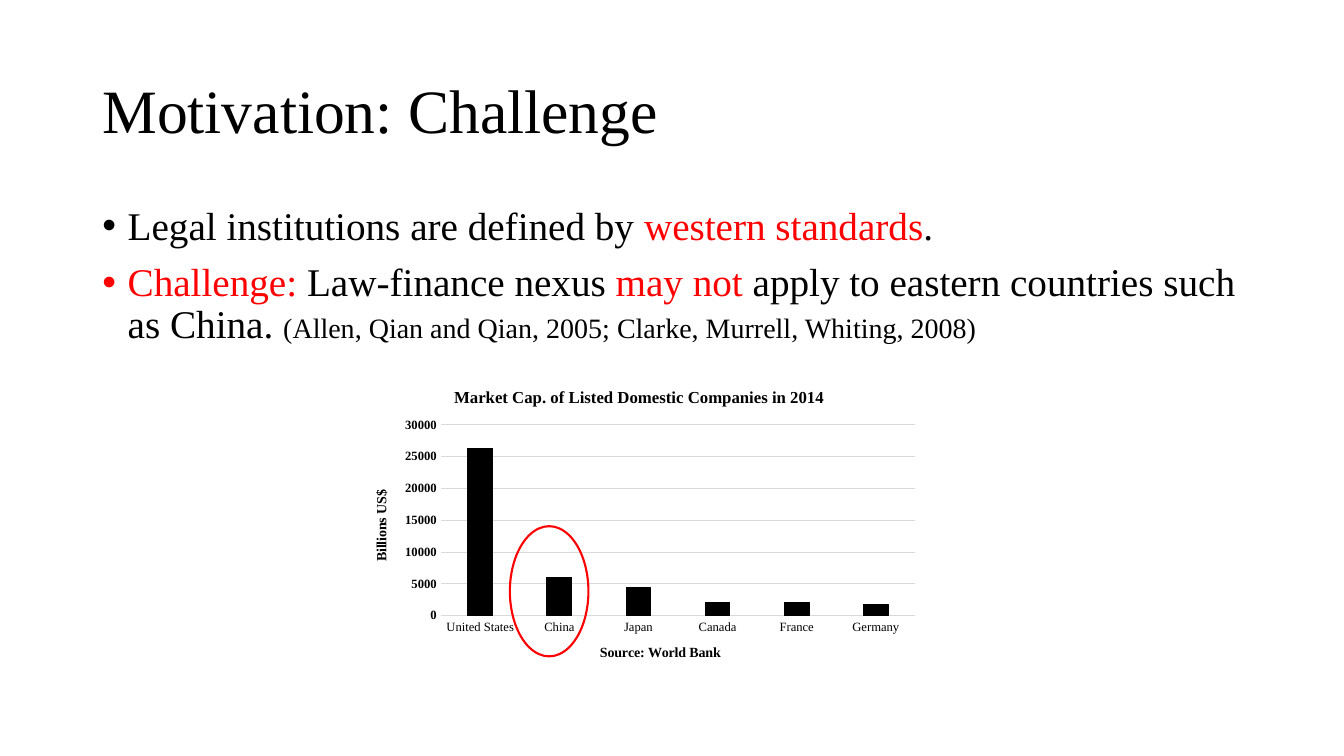
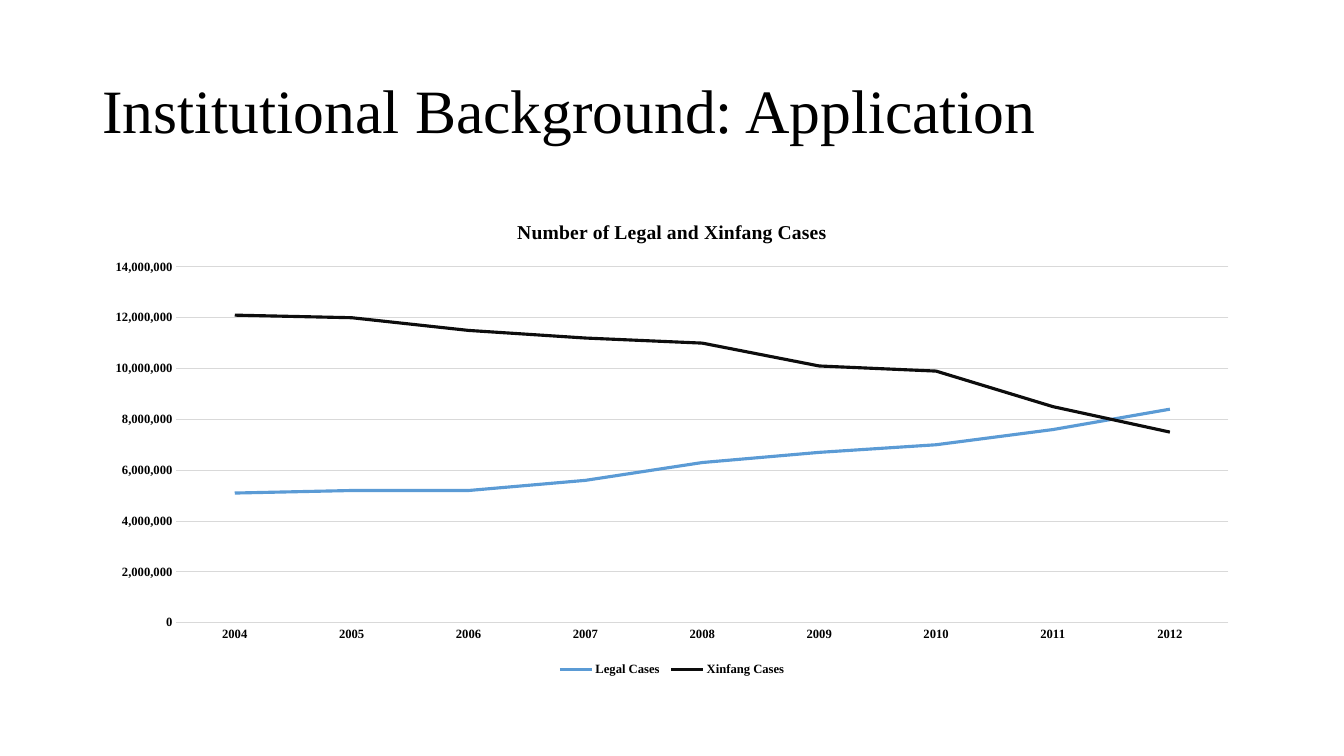
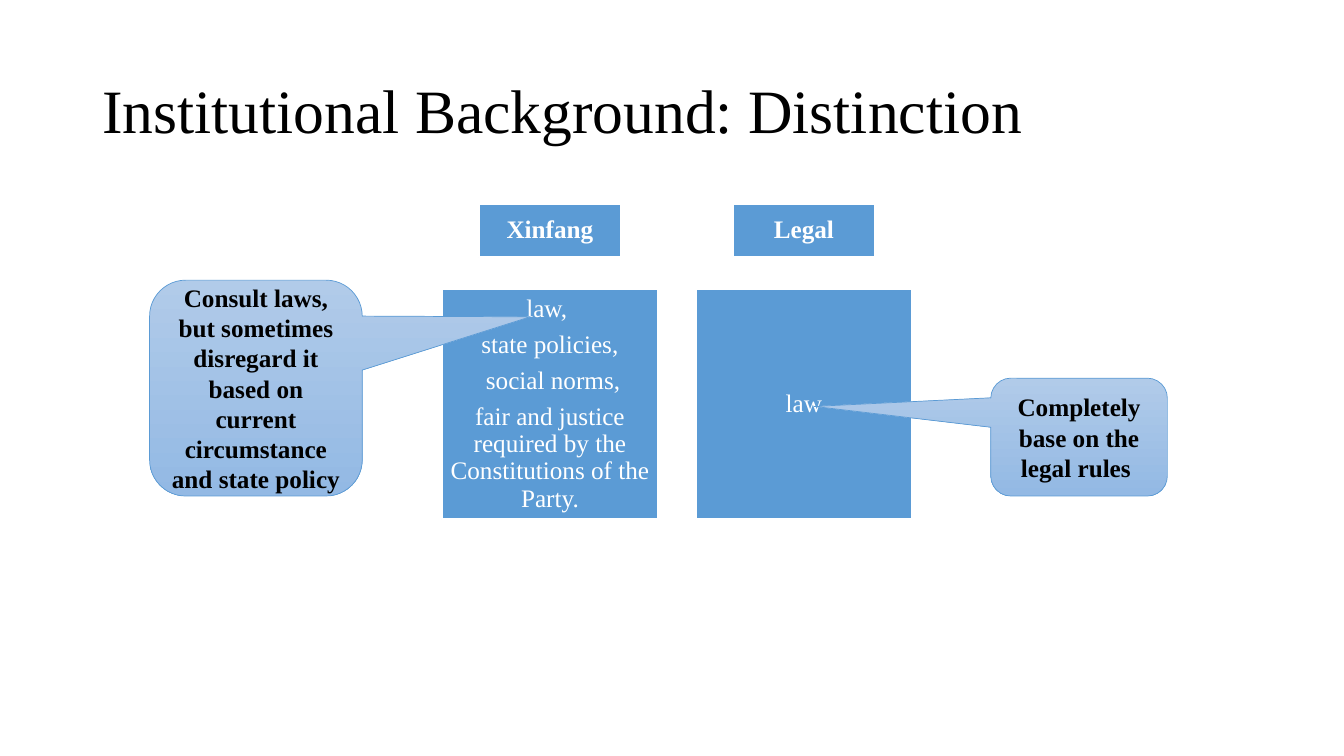
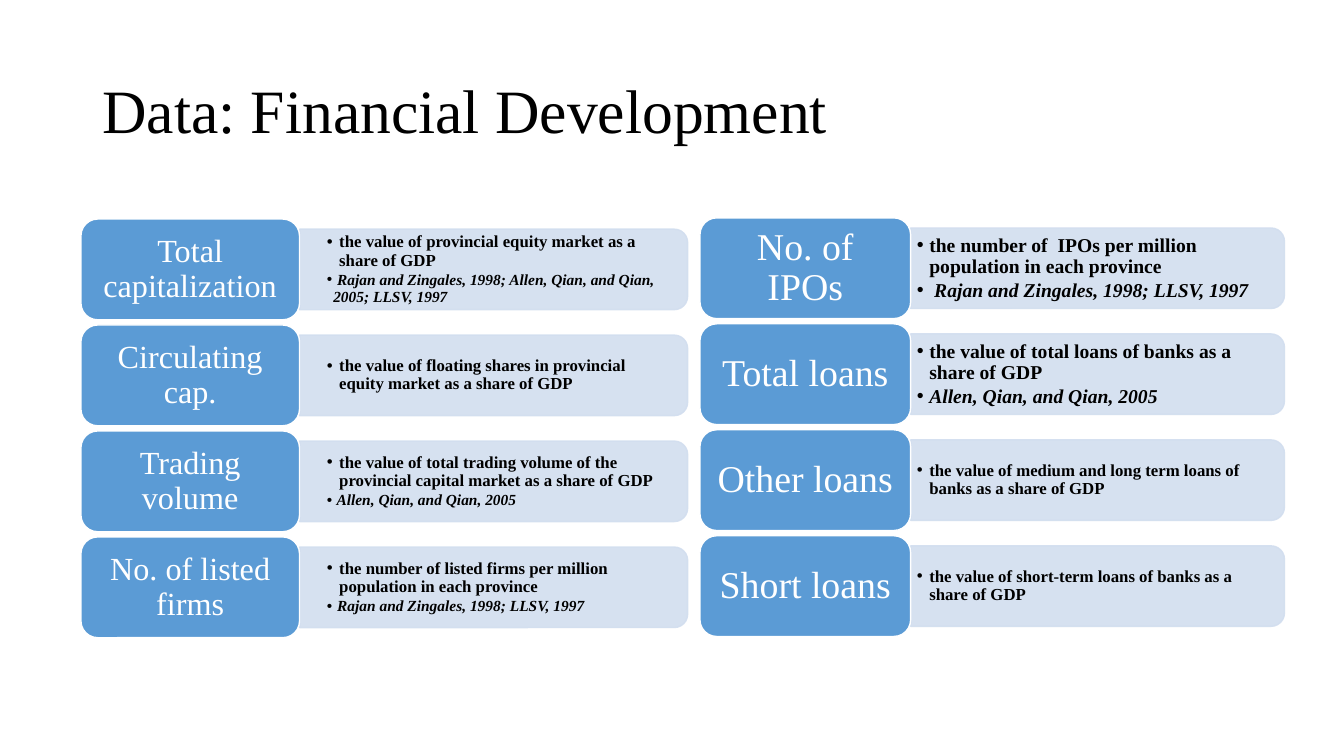
from lxml import etree
from pptx import Presentation
from pptx.chart.data import CategoryChartData
from pptx.dml.color import RGBColor
from pptx.enum.chart import XL_CHART_TYPE, XL_LEGEND_POSITION, XL_TICK_MARK
from pptx.enum.shapes import MSO_SHAPE
from pptx.enum.text import MSO_ANCHOR, PP_ALIGN
from pptx.oxml.ns import qn
from pptx.util import Cm, Pt

COLUMN, LINE = XL_CHART_TYPE.COLUMN_CLUSTERED, XL_CHART_TYPE.LINE
BOTTOM, NO_TICK = XL_LEGEND_POSITION.BOTTOM, XL_TICK_MARK.NONE
RECT, ROUND, OVAL = MSO_SHAPE.RECTANGLE, MSO_SHAPE.ROUNDED_RECTANGLE, MSO_SHAPE.OVAL
TAB, CALLOUT = MSO_SHAPE.ROUND_2_SAME_RECTANGLE, MSO_SHAPE.ROUNDED_RECTANGULAR_CALLOUT
MIDDLE, TOP, CENTER = MSO_ANCHOR.MIDDLE, MSO_ANCHOR.TOP, PP_ALIGN.CENTER

COLORS = {
    "black": "000000", "ink": "0D0D0D", "white": "FFFFFF", "red": "FF0000",
    "blue": "5B9BD5", "pale": "D2DEEF", "grid": "D9D9D9",
    "light": "B1CBE9", "deep": "93B9E4",
}
FACE = "Times New Roman"
HEAD = (2.33, 1.02, 29.21, 3.68)
BODY = (2.33, 5.07, 29.21, 12.09)
TIGHT = {"line_spacing": 0.9}
RED = {"color": "red"}


def tint(name):
    return RGBColor.from_string(COLORS[name])


def apply(item, form):
    for key, val in form.items():
        if key == "color":
            item.color.rgb = tint(val)
        else:
            setattr(item, key, val)


def face(size, color="black", **more):
    return {"name": FACE, "size": Pt(size), "color": color, **more}


def write(frame, paras, font, form=None, dents=()):
    for num, runs in enumerate(paras):
        para = frame.add_paragraph() if num else frame.paragraphs[0]
        if dents:
            props = para._p.get_or_add_pPr()
            props.set("marL", str(Cm(dents[num])))
            props.set("indent", str(-Cm(dents[num])))
            etree.SubElement(props, qn("a:buFont")).set("typeface", "Arial")
            etree.SubElement(props, qn("a:buChar")).set("char", "•")
        apply(para, form or {})
        if num == 0 and form and "space_before" in form:
            para.space_before = Pt(0)
        for text, extra in [(runs, {})] if isinstance(runs, str) else runs:
            run = para.add_run()
            run.text = text
            apply(run.font, {**font, **extra})


def frame_up(frame, anchor=MIDDLE, side=0.25, edge=0.13):
    apply(frame, {
        "word_wrap": True, "vertical_anchor": anchor,
        "margin_left": Cm(side), "margin_right": Cm(side),
        "margin_top": Cm(edge), "margin_bottom": Cm(edge),
    })
    return frame


def add_text(slide, box, **pads):
    return frame_up(slide.shapes.add_textbox(*map(Cm, box)).text_frame, **pads)


def add_form(slide, kind, box, fill, line, width):
    form = slide.shapes.add_shape(kind, *map(Cm, box))
    form.shadow.inherit = False
    if fill:
        form.fill.solid()
        form.fill.fore_color.rgb = tint(fill)
    else:
        form.fill.background()
    apply(form.line, {"color": line, "width": Pt(width)})
    return form


def add_page(deck, title):
    slide = deck.slides.add_slide(deck.slide_layouts[6])
    write(add_text(slide, HEAD), [title], face(44), TIGHT)
    return slide


def add_plot(slide, box, kind, cats, series, title, size, style, top, step):
    data = CategoryChartData()
    data.categories = cats
    for name, vals, _ in series:
        data.add_series(name, vals)
    chart = slide.shapes.add_chart(kind, *map(Cm, box), data).chart
    apply(chart.font, face(10))
    chart.has_title = True
    write(chart.chart_title.text_frame, [title], face(size, bold=True))
    chart.has_legend = False
    cat, val = chart.category_axis, chart.value_axis
    for axis in (cat, val):
        apply(axis, {"major_tick_mark": NO_TICK, "minor_tick_mark": NO_TICK})
        apply(axis.tick_labels.font, face(9, bold=True))
    apply(cat.format.line, {"color": "grid", "width": Pt(0.75)})
    val.format.line.fill.background()
    apply(val, {"minimum_scale": 0, "maximum_scale": top, "major_unit": step,
                "has_major_gridlines": True})
    apply(val.major_gridlines.format.line, {"color": "grid", "width": Pt(0.75)})
    apply(val.tick_labels, {"number_format": style, "number_format_is_linked": False})
    for item, (_, _, color) in zip(chart.plots[0].series, series):
        if kind == LINE:
            item.smooth = False
            width = 2.25
        else:
            item.format.fill.solid()
            item.format.fill.fore_color.rgb = tint(color)
            width = 0.75
        apply(item.format.line, {"color": color, "width": Pt(width)})
    chart.plots[0].vary_by_categories = False
    return chart


def challenge(deck):
    slide = add_page(deck, "Motivation: Challenge")
    write(add_text(slide, BODY, anchor=TOP), [
        [("Legal institutions are defined by ", {}), ("western standards", RED), (".", {})],
        [("Challenge:", RED), (" Law-finance nexus ", {}), ("may not ", RED),
         ("apply to eastern countries such as China. ", {}),
         ("(Allen, Qian and Qian, 2005; Clarke, Murrell, Whiting, 2008)", {"size": Pt(20)})],
    ], face(28), {**TIGHT, "space_before": Pt(10)}, [0.64, 0.64])
    chart = add_plot(
        slide, (8.86, 9.37, 14.5, 7.8), COLUMN,
        ["United States", "China", "Japan", "Canada", "France", "Germany"],
        [("Series 1", [26300, 6000, 4400, 2100, 2100, 1700], "black")],
        "Market Cap. of Listed Domestic Companies in 2014", 12, "0", 30000, 5000)
    apply(chart.plots[0], {"gap_width": 219, "overlap": -27})
    chart.category_axis.tick_labels.font.bold = False
    for axis, text in ((chart.category_axis, "Source: World Bank"),
                       (chart.value_axis, "Billions US$")):
        write(axis.axis_title.text_frame, [text], face(10, bold=True))
    add_form(slide, OVAL, (12.85, 13.26, 1.98, 3.28), None, "red", 1.5)


def trend(deck):
    slide = add_page(deck, "Institutional Background: Application")
    legal = [5100000, 5200000, 5200000, 5600000, 6300000, 6700000, 7000000, 7600000, 8400000]
    petty = [12100000, 12000000, 11500000, 11200000, 11000000, 10100000, 9900000, 8500000, 7500000]
    chart = add_plot(
        slide, BODY, LINE, [str(year) for year in range(2004, 2013)],
        [("Legal Cases ", legal, "blue"), ("Xinfang Cases", petty, "ink")],
        "Number of Legal and Xinfang Cases", 14, "#,##0", 14000000, 2000000)
    chart.has_legend = True
    apply(chart.legend, {"position": BOTTOM, "include_in_layout": False})
    apply(chart.legend.font, face(9, bold=True))


def add_pillar(slide, box, head, paras):
    left, top, width, high = box
    wide = 3.58
    parts = (
        ((left + (width - wide) / 2, top, wide, 1.35), [head], True),
        ((left, top + 2.16, width, high - 2.16), paras, False),
    )
    for area, text, bold in parts:
        form = add_form(slide, RECT, area, "blue", "white", 1.5)
        write(frame_up(form.text_frame, side=0.18, edge=0.18), text,
              face(18, "white", bold=bold),
              {**TIGHT, "alignment": CENTER, "space_after": Pt(6.3)})


def add_note(slide, box, tip, text):
    note = add_form(slide, CALLOUT, box, "light", "blue", 0.5)
    for num, val in enumerate((*tip, 0.17)):
        note.adjustments[num] = val
    note.fill.gradient()
    note.fill.gradient_angle = 270
    for stop, name in zip(note.fill.gradient_stops, ("light", "deep")):
        stop.color.rgb = tint(name)
    write(frame_up(note.text_frame), [text], face(18, bold=True), {"alignment": CENTER})


def contrast(deck):
    slide = add_page(deck, "Institutional Background: Distinction")
    pillars = (
        ("Xinfang", ["law, ", "state policies,", " social norms,",
                     "fair and justice required by the Constitutions of the Party."]),
        ("Legal", ["law"]),
    )
    for num, (head, paras) in enumerate(pillars):
        add_pillar(slide, (11.13 + 6.4 * num, 5.13, 5.46, 7.95), head, paras)
    add_note(slide, (3.77, 7.06, 5.36, 5.44), (1.29, -0.33),
             "Consult laws, but sometimes disregard it based on current circumstance and state policy")
    add_note(slide, (24.97, 9.53, 4.45, 2.97), (-1.5, -0.26),
             "Completely base on the legal rules ")


def add_row(slide, box, wide, label, size, side, paras, dents, main, cite):
    left, top, width, high = box
    span, deep = width - wide, 2.03
    mid = top + high / 2
    panel = add_form(slide, TAB, (left + wide + (span - deep) / 2, mid - span / 2, deep, span),
                     "pale", "pale", 1)
    panel.rotation = 90
    for color in panel._element.spPr.iter(qn("a:srgbClr")):
        etree.SubElement(color, qn("a:alpha")).set("val", "90000")
    fonts = ({"size": Pt(main)}, {"size": Pt(cite), "italic": True})
    frame = add_text(slide, (left + wide, mid - deep / 2, span - 0.1, deep), side=side, edge=0.08)
    write(frame, [[(text, font)] for text, font in zip(paras, fonts)],
          face(main, bold=True), {**TIGHT, "space_after": Pt(1.8)}, dents)
    badge = add_form(slide, ROUND, (left, top, wide, high), "blue", "white", 1)
    write(frame_up(badge.text_frame, side=0.27), [label], face(size, "white"),
          {**TIGHT, "alignment": CENTER})


def add_stack(slide, box, wide, size, side, dents, rows):
    left, top, width, high = box
    pitch = 2.67
    for num, (label, main, cite, *paras) in enumerate(rows):
        add_row(slide, (left, top + pitch * num, width, high), wide, label, size, side,
                paras, dents, main, cite)


def finance(deck):
    slide = add_page(deck, "Data: Financial Development")
    add_stack(slide, (2.04, 5.52, 15.29, 2.54), 5.51, 23, 0.69, (0.31, 0.16), (
        ("Total capitalization", 12, 11,
         "the value of provincial equity market as a share of GDP",
         " Rajan and Zingales, 1998; Allen, Qian, and Qian, 2005; LLSV, 1997"),
        ("Circulating cap.", 12, 11,
         "the value of floating shares in provincial equity market as a share of GDP"),
        ("Trading volume", 12, 11,
         "the value of total trading volume of the provincial capital market as a share of GDP",
         " Allen, Qian, and Qian, 2005"),
        ("No. of listed firms", 12, 11,
         "the number of listed firms per million population in each province",
         " Rajan and Zingales, 1998; LLSV, 1997"),
    ))
    add_stack(slide, (17.64, 5.49, 14.73, 2.54), 5.31, 27, 0.16, (0.31, 0.31), (
        ("No. of IPOs", 14, 14,
         "the number of  IPOs per million population in each province",
         " Rajan and Zingales, 1998; LLSV, 1997"),
        ("Total loans", 14, 14,
         "the value of total loans of banks as a share of GDP",
         "Allen, Qian, and Qian, 2005"),
        ("Other loans", 12, 12,
         "the value of medium and long term loans of banks as a share of GDP"),
        ("Short loans", 12, 12,
         "the value of short-term loans of banks as a share of GDP"),
    ))


def main():
    deck = Presentation()
    apply(deck, {"slide_width": Cm(33.87), "slide_height": Cm(19.05)})
    for build in (challenge, trend, contrast, finance):
        build(deck)
    deck.save("out.pptx")


if __name__ == "__main__":
    main()
